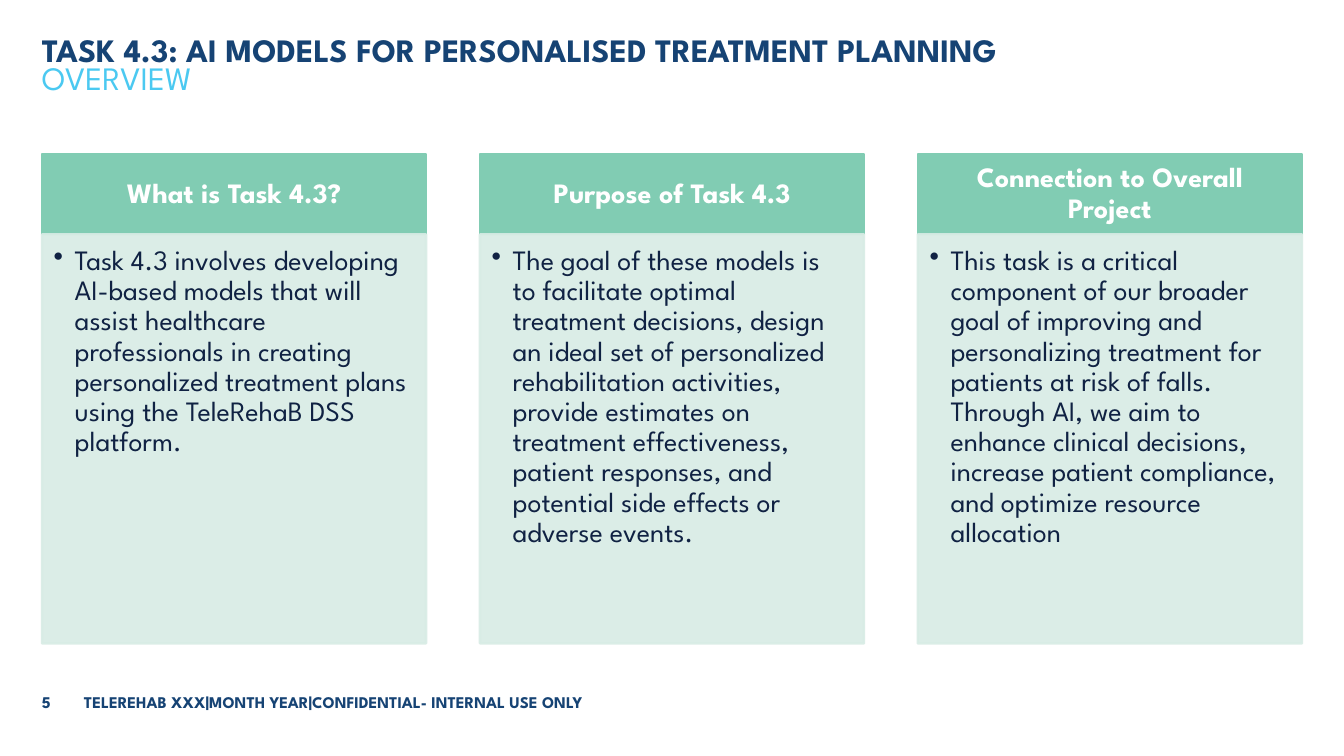
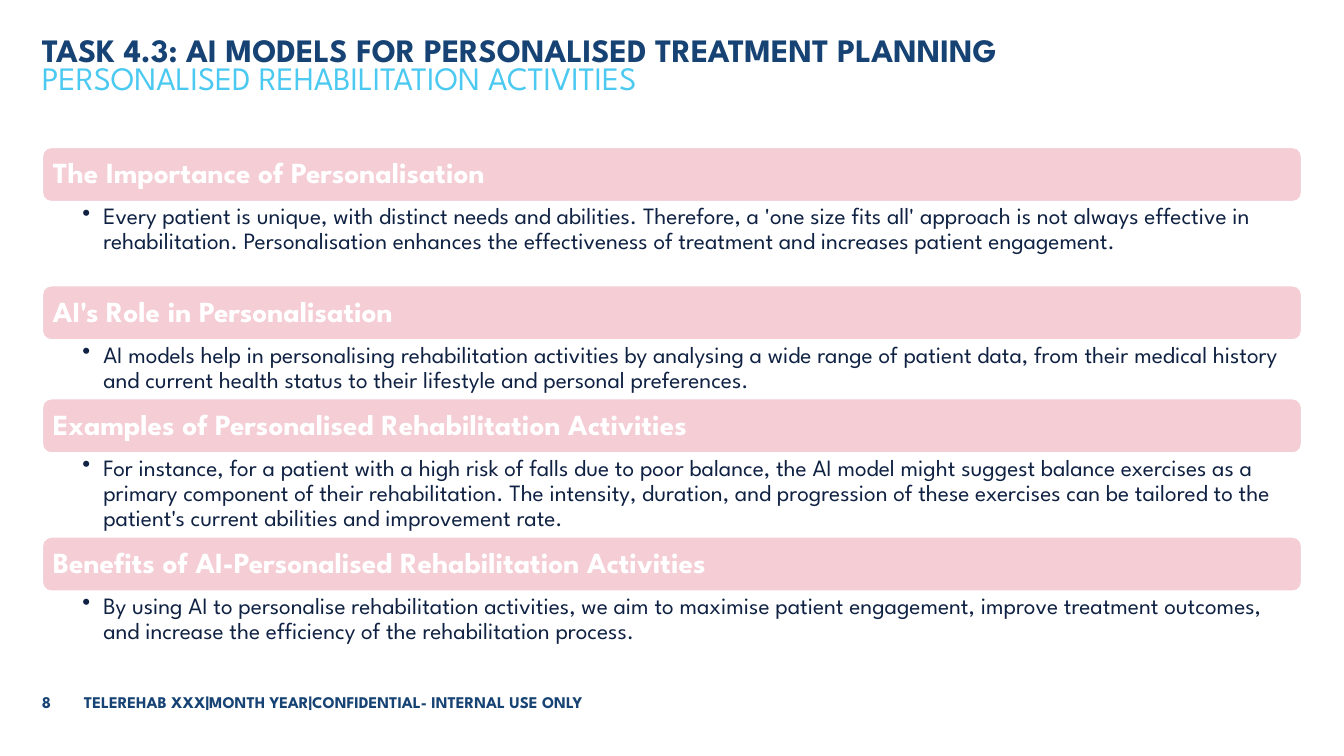
from dataclasses import dataclass

from lxml.etree import SubElement
from pptx import Presentation
from pptx.dml.color import RGBColor
from pptx.enum.shapes import MSO_SHAPE
from pptx.enum.text import MSO_ANCHOR, PP_ALIGN
from pptx.oxml.ns import qn
from pptx.util import Inches, Pt

COLUMNS, ROWS = 16, 9
CELL = Inches(1)


@dataclass(frozen=True)
class Theme:
    """Colours, font and type sizes shared by the slides."""
    font: str = "League Spartan"
    navy: str = "164374"
    sky: str = "4BC9F1"
    ink: str = "102243"
    white: str = "FFFFFF"
    green: str = "81CCB3"
    mint: str = "D8ECE5"
    pink: str = "F4CDD5"
    title_size: int = 28
    bar_size: int = 25
    card_size: int = 24
    detail_size: int = 20
    footer_size: int = 14


@dataclass(frozen=True)
class Box:
    """An area in grid columns and rows."""
    left: float
    top: float
    width: float
    height: float

    def emu(self):
        """Return the area in slide units."""
        return [round(value * CELL) for value in (self.left, self.top, self.width, self.height)]


THEME = Theme()
CONTENT = Box(0.5, 1.75, 15, 6)
TITLE = "TASK 4.3: AI MODELS FOR PERSONALISED TREATMENT PLANNING"
FOOTER = "TELEREHAB XXX|MONTH YEAR|CONFIDENTIAL- INTERNAL USE ONLY"
CARD_INSETS = (0.14, 0.14, 0.19, 0.21)
CARD_HEADER_INSETS = (0.19, 0.11, 0.19, 0.11)
BAR_INSETS = (0.1, 0.1, 0.1, 0.1)
DETAIL_INSETS = (0.48, 0.03, 0.19, 0.03)

CARDS = [
    ("What is Task 4.3?",
     "Task 4.3 involves developing AI-based models that will assist healthcare professionals in "
     "creating personalized treatment plans using the TeleRehaB DSS platform."),
    ("Purpose of Task 4.3",
     "The goal of these models is to facilitate optimal treatment decisions, design an ideal set of "
     "personalized rehabilitation activities, provide estimates on treatment effectiveness, patient "
     "responses, and potential side effects or adverse events."),
    ("Connection to Overall Project",
     "This task is a critical component of our broader goal of improving and personalizing treatment "
     "for patients at risk of falls. Through AI, we aim to enhance clinical decisions, increase "
     "patient compliance, and optimize resource allocation"),
]

SECTIONS = [
    ("The Importance of Personalisation", 0.99,
     "Every patient is unique, with distinct needs and abilities. Therefore, a 'one size fits all' "
     "approach is not always effective in rehabilitation. Personalisation enhances the effectiveness "
     "of treatment and increases patient engagement."),
    ("AI's Role in Personalisation", 0.69,
     "AI models help in personalising rehabilitation activities by analysing a wide range of patient "
     "data, from their medical history and current health status to their lifestyle and personal "
     "preferences."),
    ("Examples of Personalised Rehabilitation Activities", 0.99,
     "For instance, for a patient with a high risk of falls due to poor balance, the AI model might "
     "suggest balance exercises as a primary component of their rehabilitation. The intensity, "
     "duration, and progression of these exercises can be tailored to the patient's current "
     "abilities and improvement rate."),
    ("Benefits of AI-Personalised Rehabilitation Activities", 0.69,
     "By using AI to personalise rehabilitation activities, we aim to maximise patient engagement, "
     "improve treatment outcomes, and increase the efficiency of the rehabilitation process."),
]


def write(shape, text, size, color, bold=False, insets=(0, 0, 0, 0), spacing=0.9,
          anchor=MSO_ANCHOR.TOP, align=PP_ALIGN.LEFT, bullet=False):
    """Fill a shape with one styled paragraph."""
    frame = shape.text_frame
    frame.word_wrap = True
    frame.vertical_anchor = anchor
    frame.margin_left, frame.margin_top, frame.margin_right, frame.margin_bottom = map(Inches, insets)
    paragraph = frame.paragraphs[0]
    if bullet:
        properties = paragraph._p.get_or_add_pPr()
        properties.set("marL", str(Inches(0.25)))
        properties.set("indent", str(-Inches(0.25)))
        SubElement(properties, qn("a:buChar"), char="•")
    paragraph.alignment = align
    paragraph.line_spacing = spacing
    run = paragraph.add_run()
    run.text = text
    run.font.name = THEME.font
    run.font.size = Pt(size)
    run.font.bold = bold
    run.font.color.rgb = RGBColor.from_string(color)


def add_text(slide, box, *content, **style):
    """Add a text box with one paragraph."""
    write(slide.shapes.add_textbox(*box.emu()), *content, **style)


def add_panel(slide, box, fill, line, kind=MSO_SHAPE.RECTANGLE, opacity=100):
    """Add a filled shape and return it."""
    panel = slide.shapes.add_shape(kind, *box.emu())
    panel.shadow.inherit = False
    panel.fill.solid()
    panel.fill.fore_color.rgb = RGBColor.from_string(fill)
    panel.line.color.rgb = RGBColor.from_string(line)
    panel.line.width = Pt(2)
    if opacity < 100:
        for color in panel._element.spPr.iter(qn("a:srgbClr")):
            SubElement(color, qn("a:alpha"), val=str(opacity * 1000))
    return panel


def add_heading(slide, box, subtitle):
    """Place the title and subtitle lines in a box."""
    line_height = box.height / 2
    for index, (text, color, bold) in enumerate([(TITLE, THEME.navy, True), (subtitle, THEME.sky, False)]):
        line = Box(box.left, box.top + index * line_height, box.width, line_height)
        add_text(slide, line, text, THEME.title_size, color, bold=bold, spacing=Pt(24))


def add_footer(slide, box, number):
    """Place the slide number and the footer line in a box."""
    number_width = 0.5
    parts = [(str(number), box.left, number_width),
             (FOOTER, box.left + number_width, box.width - number_width)]
    for text, left, width in parts:
        add_text(slide, Box(left, box.top, width, box.height), text, THEME.footer_size, THEME.navy,
                 bold=True, spacing=Pt(12), anchor=MSO_ANCHOR.MIDDLE)


def add_card(slide, box, header, text):
    """Place a card with a header band over a bulleted panel."""
    header_height = 0.96
    band = add_panel(slide, Box(box.left, box.top, box.width, header_height), THEME.green, THEME.green)
    write(band, header, THEME.card_size, THEME.white, bold=True, insets=CARD_HEADER_INSETS,
          anchor=MSO_ANCHOR.MIDDLE, align=PP_ALIGN.CENTER)
    body = Box(box.left, box.top + header_height, box.width, box.height - header_height)
    panel = add_panel(slide, body, THEME.mint, THEME.mint, opacity=90)
    write(panel, text, THEME.card_size, THEME.ink, insets=CARD_INSETS, bullet=True)


def add_cards(slide, box, cards):
    """Place equal cards side by side."""
    gap_share = 0.14
    width = box.width / (len(cards) + gap_share * (len(cards) - 1))
    for index, (header, text) in enumerate(cards):
        left = box.left + index * width * (1 + gap_share)
        add_card(slide, Box(left, box.top, width, box.height), header, text)


def add_sections(slide, box, sections):
    """Stack rounded bars with a bulleted text under each."""
    bar_height = 0.656
    top = box.top
    for header, detail_height, text in sections:
        bar = add_panel(slide, Box(box.left, top, box.width, bar_height), THEME.pink, THEME.white,
                        MSO_SHAPE.ROUNDED_RECTANGLE)
        write(bar, header, THEME.bar_size, THEME.white, bold=True, insets=BAR_INSETS,
              anchor=MSO_ANCHOR.MIDDLE)
        top += bar_height
        add_text(slide, Box(box.left, top, box.width, detail_height), text, THEME.detail_size,
                 THEME.ink, insets=DETAIL_INSETS, bullet=True)
        top += detail_height


def add_slide(presentation, subtitle, number):
    """Add a blank slide with its heading and footer."""
    slide = presentation.slides.add_slide(presentation.slide_layouts[6])
    add_heading(slide, Box(CONTENT.left, 0.49, CONTENT.width, 0.67), subtitle)
    add_footer(slide, Box(CONTENT.left, 8.26, 9.5, 0.25), number)
    return slide


def main():
    """Build and save the presentation."""
    presentation = Presentation()
    presentation.slide_width = COLUMNS * CELL
    presentation.slide_height = ROWS * CELL
    overview = add_slide(presentation, "OVERVIEW", 5)
    add_cards(overview, Box(CONTENT.left, 1.83, CONTENT.width, 5.83), CARDS)
    activities = add_slide(presentation, "PERSONALISED REHABILITATION ACTIVITIES", 8)
    add_sections(activities, CONTENT, SECTIONS)
    presentation.save("out.pptx")


if __name__ == "__main__":
    main()
